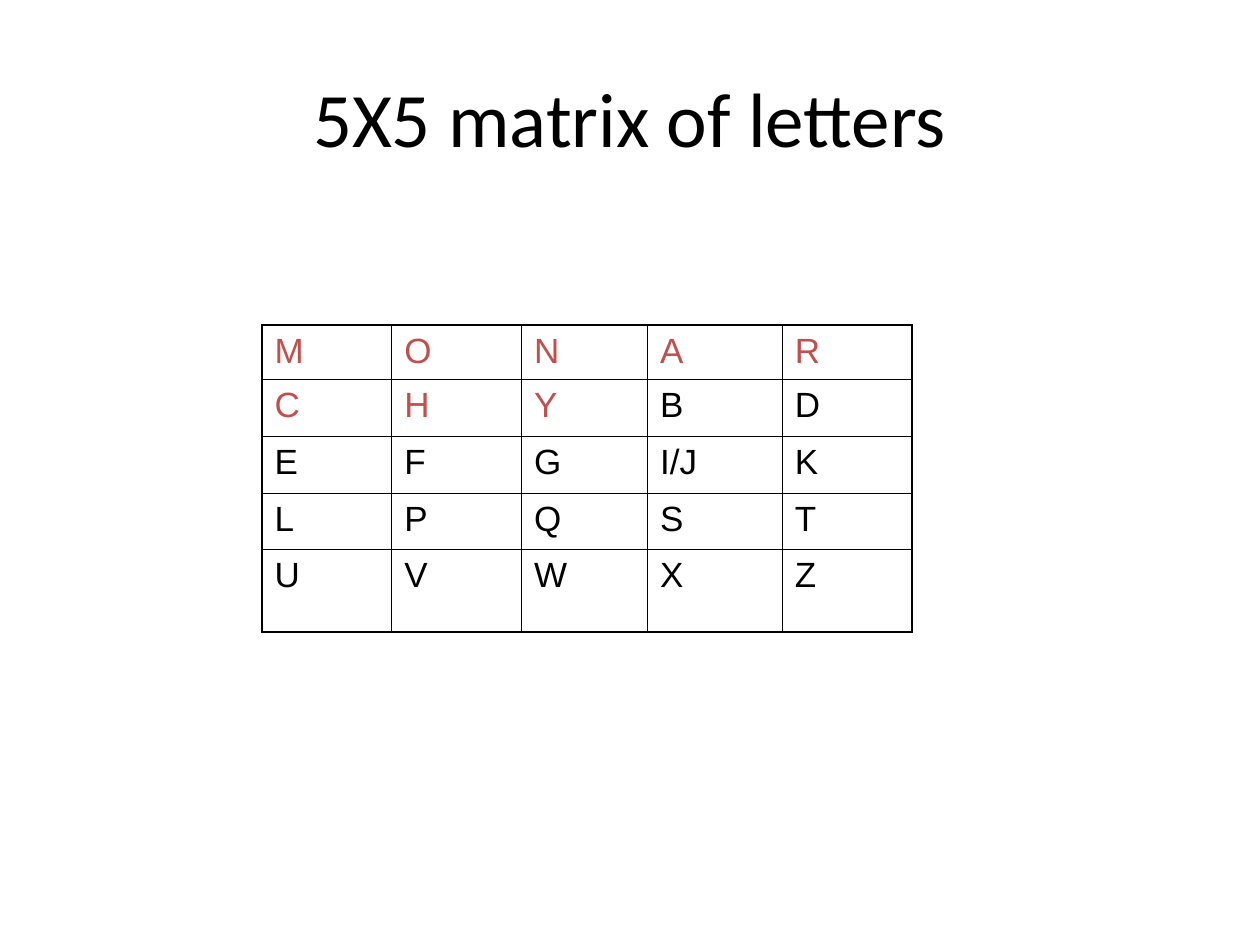
from pptx import Presentation
from pptx.dml.color import RGBColor
from pptx.enum.text import MSO_ANCHOR, PP_ALIGN
from pptx.oxml import parse_xml
from pptx.oxml.ns import nsdecls
from pptx.util import Inches, Pt

BLACK = "000000"
KEYWORD_RED = "C0504D"
INNER_LINE, OUTER_LINE = 0.45, 1.08

KEYWORD = "MONARCHY"
MATRIX = [
    ["M", "O", "N", "A", "R"],
    ["C", "H", "Y", "B", "D"],
    ["E", "F", "G", "I/J", "K"],
    ["L", "P", "Q", "S", "T"],
    ["U", "V", "W", "X", "Z"],
]
COLUMN_WIDTHS = [1.03, 1.03, 1, 1.07, 1.03]
ROW_HEIGHTS = [0.43, 0.45, 0.45, 0.45, 0.65]


def set_font(paragraph, name, size, color):
    font = paragraph.font
    font.name = name
    font.size = Pt(size)
    font.color.rgb = RGBColor.from_string(color)


def add_title(slide, text):
    title = slide.shapes.add_textbox(Inches(0.5), Inches(0.3), Inches(9), Inches(1.25))
    frame = title.text_frame
    frame.word_wrap = True
    frame.vertical_anchor = MSO_ANCHOR.MIDDLE
    frame.text = text
    heading = frame.paragraphs[0]
    heading.alignment = PP_ALIGN.CENTER
    set_font(heading, "Calibri", 44, BLACK)


def set_borders(cell, widths):
    """Draw the left, right, top and bottom lines, which must precede the fill."""
    properties = cell._tc.get_or_add_tcPr()
    for index, (side, width) in enumerate(zip("LRTB", widths)):
        line = parse_xml(
            f'<a:ln{side} {nsdecls("a")} w="{Pt(width)}"><a:solidFill>'
            f'<a:srgbClr val="{BLACK}"/></a:solidFill></a:ln{side}>'
        )
        properties.insert(index, line)


def add_matrix(slide):
    row_count, column_count = len(MATRIX), len(MATRIX[0])
    matrix = slide.shapes.add_table(
        row_count, column_count, Inches(2.08), Inches(2.58),
        Inches(sum(COLUMN_WIDTHS)), Inches(sum(ROW_HEIGHTS)),
    ).table
    matrix.first_row = False
    matrix.horz_banding = False
    for column, width in zip(matrix.columns, COLUMN_WIDTHS):
        column.width = Inches(width)
    for row, height in zip(matrix.rows, ROW_HEIGHTS):
        row.height = Inches(height)

    for r, letters in enumerate(MATRIX):
        for c, letter in enumerate(letters):
            cell = matrix.cell(r, c)
            cell.text = letter
            color = KEYWORD_RED if letter in KEYWORD else BLACK
            set_font(cell.text_frame.paragraphs[0], "Arial", 20, color)
            cell.fill.background()
            # Heavier lines around the outside of the matrix
            on_edge = [c == 0, c == column_count - 1, r == 0, r == row_count - 1]
            set_borders(cell, [OUTER_LINE if edge else INNER_LINE for edge in on_edge])


def main():
    prs = Presentation()
    prs.slide_width, prs.slide_height = Inches(10), Inches(7.5)
    slide = prs.slides.add_slide(prs.slide_layouts[6])
    add_title(slide, "5X5 matrix of letters")
    add_matrix(slide)
    prs.save("out.pptx")


if __name__ == "__main__":
    main()
